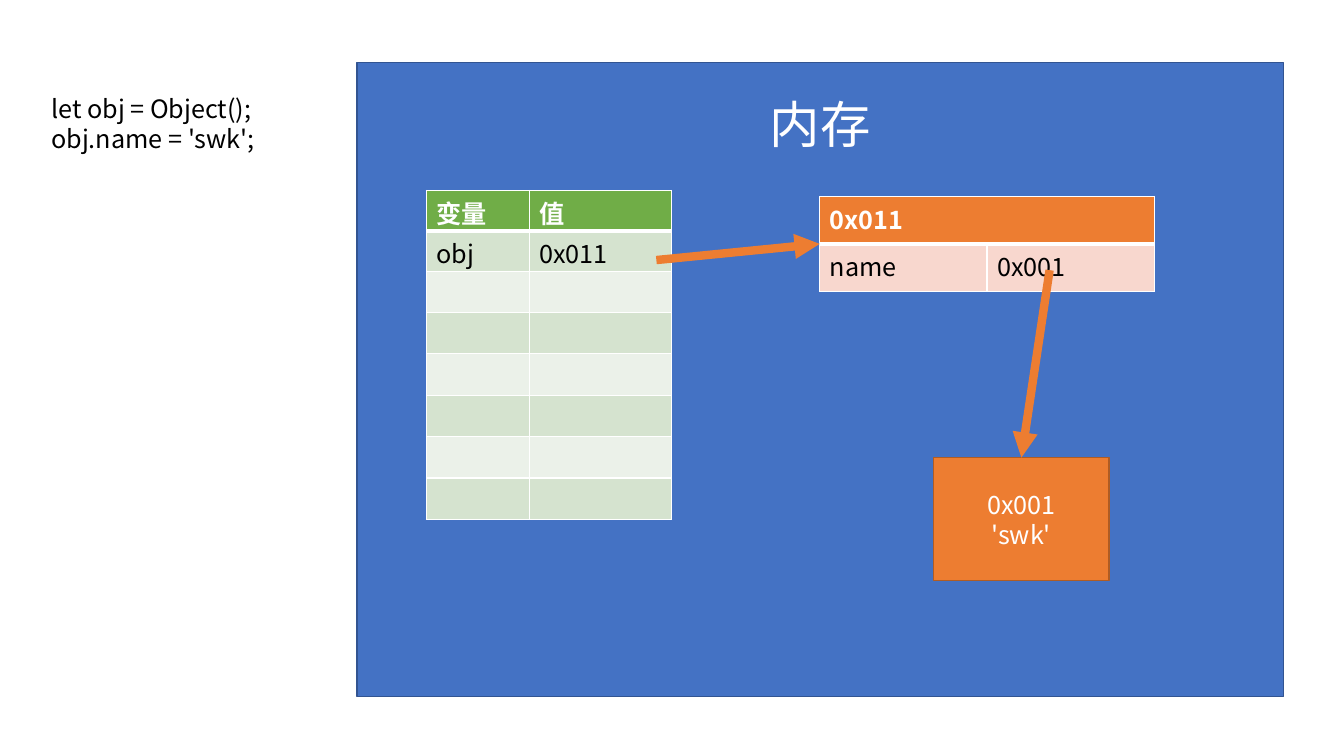
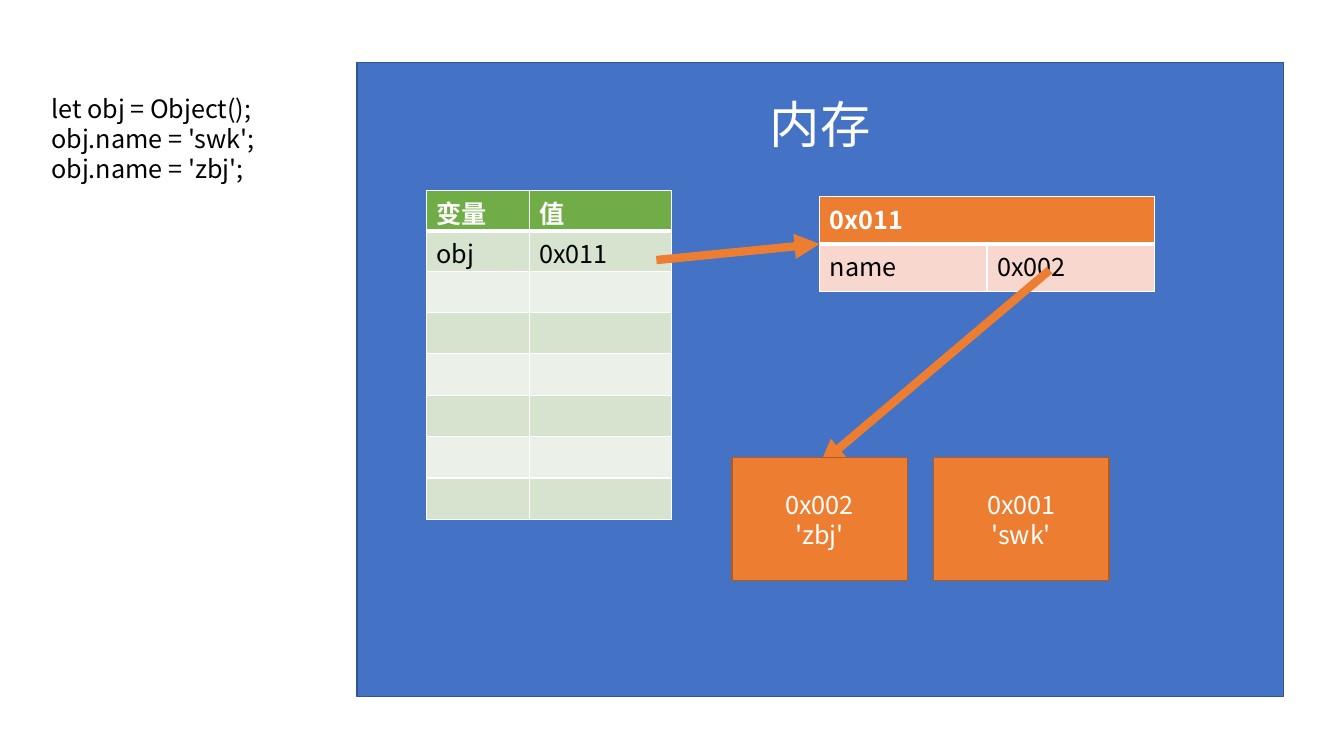
"""Build two slides that show how an object and its values sit in memory."""
from dataclasses import dataclass

from lxml import etree
from pptx import Presentation
from pptx.dml.color import RGBColor
from pptx.enum.shapes import MSO_CONNECTOR, MSO_SHAPE
from pptx.enum.text import MSO_ANCHOR, MSO_AUTO_SIZE, PP_ALIGN
from pptx.oxml.ns import qn
from pptx.util import Inches, Pt

RECT = MSO_SHAPE.RECTANGLE
STRAIGHT = MSO_CONNECTOR.STRAIGHT
TOP, MIDDLE = MSO_ANCHOR.TOP, MSO_ANCHOR.MIDDLE
LEFT, CENTER = PP_ALIGN.LEFT, PP_ALIGN.CENTER
NO_FIT = MSO_AUTO_SIZE.NONE
TITLE_ONLY = 5
SIDES = ("lnL", "lnR", "lnT", "lnB")


@dataclass(frozen=True)
class Theme:
    """Colours, fonts and type sizes of the deck."""
    font: str = "Noto Sans CJK SC"
    white: str = "FFFFFF"
    black: str = "000000"
    blue: str = "4472C4"
    navy: str = "325491"
    green: str = "70AD47"
    mint: str = "D5E3CF"
    pale: str = "EBF1E9"
    orange: str = "ED7D31"
    rust: str = "AF5C24"
    peach: str = "F8D7CE"
    title: float = 36
    body: float = 18
    title_gap: float = 43
    body_gap: float = 21.5
    cell_gap: float = 20.5
    thin: float = 1
    thick: float = 3
    arrow: float = 6


@dataclass(frozen=True)
class Area:
    """A place on the slide in inches."""
    left: float
    top: float
    width: float
    height: float

    def frame(self) -> tuple:
        """Return the four lengths."""
        return tuple(map(Inches, (self.left, self.top, self.width, self.height)))


@dataclass(frozen=True)
class Style:
    """How lines of text look."""
    color: str
    size: float
    gap: float
    align: int = LEFT
    bold: bool = False


@dataclass(frozen=True)
class Grid:
    """A table with a header and banded rows."""
    area: Area
    widths: tuple
    rows: tuple
    head: str
    bands: tuple
    merge: bool = False


@dataclass(frozen=True)
class Box:
    """A value in memory."""
    left: float
    lines: tuple


@dataclass(frozen=True)
class Scene:
    """What one slide shows."""
    code: tuple
    link: str
    target: tuple
    under: tuple
    over: tuple = ()


THEME = Theme()
PANEL = Area(3.54, 0.62, 9.19, 6.29)
TITLE = Style(THEME.white, THEME.title, THEME.title_gap, CENTER)
CODE = Style(THEME.black, THEME.body, THEME.body_gap)
VALUE = Style(THEME.white, THEME.body, THEME.body_gap, CENTER)
HEAD = Style(THEME.white, THEME.body, THEME.cell_gap, bold=True)
CELL = Style(THEME.black, THEME.body, THEME.cell_gap)

STACK = Grid(Area(4.23, 1.89, 2.43, 3.2), (1.02, 1.41),
             (("变量", "值"), ("obj", "0x011")) + (("", ""),) * 6,
             THEME.green, (THEME.mint, THEME.pale))

SWK = Box(9.26, ("0x001", "'swk'"))
ZBJ = Box(7.26, ("0x002", "'zbj'"))
LINES = ("let obj = Object();", "obj.name = 'swk';", "obj.name = 'zbj';")
SCENES = (
    Scene(LINES[:2], "0x001", (10.13, 4.54), (SWK,)),
    Scene(LINES, "0x002", (8.13, 4.61), (SWK,), (ZBJ,)),
)


def apply(item, values: dict) -> None:
    """Set each named value on an item."""
    for name, value in values.items():
        setattr(item, name, value)


def paint(shape, fill: str, line: str) -> None:
    """Fill and outline a shape."""
    shape.fill.solid()
    shape.fill.fore_color.rgb = RGBColor.from_string(fill)
    shape.line.color.rgb = RGBColor.from_string(line)
    shape.line.width = Pt(THEME.thin)


def write(frame, lines: tuple, style: Style) -> None:
    """Write one paragraph per line."""
    for i, text in enumerate(lines):
        para = frame.add_paragraph() if i else frame.paragraphs[0]
        apply(para, {"alignment": style.align, "line_spacing": Pt(style.gap)})
        if not text:
            continue
        run = para.add_run()
        run.text = text
        apply(run.font, {"name": THEME.font, "size": Pt(style.size),
                         "bold": style.bold})
        run.font.color.rgb = RGBColor.from_string(style.color)
        props = run.font._element
        etree.SubElement(props, qn("a:ea"), typeface=THEME.font)


def add_panel(slide) -> None:
    """Turn the title into the memory panel."""
    panel = slide.shapes.title
    apply(panel, dict(zip(("left", "top", "width", "height"), PANEL.frame())))
    paint(panel, THEME.blue, THEME.navy)
    apply(panel.text_frame, {"vertical_anchor": TOP, "auto_size": NO_FIT,
                             "margin_top": Inches(0.31)})
    write(panel.text_frame, ("内存",), TITLE)


def add_code(slide, lines: tuple) -> None:
    """Add the code beside the panel."""
    area = Area(0.41, 0.88, 2.74, 0.1 + 0.3 * len(lines))
    frame = slide.shapes.add_textbox(*area.frame()).text_frame
    frame.word_wrap = True
    write(frame, lines, CODE)


def edge(cell, side: str, width: float) -> None:
    """Draw one white cell border."""
    props = cell._tc.get_or_add_tcPr()
    line = etree.SubElement(props, qn(f"a:{side}"), w=str(Pt(width)))
    fill = etree.SubElement(line, qn("a:solidFill"))
    etree.SubElement(fill, qn("a:srgbClr"), val=THEME.white)


def add_grid(slide, grid: Grid) -> None:
    """Add a table with its header and bands."""
    count = len(grid.rows)
    table = slide.shapes.add_table(count, len(grid.widths),
                                   *grid.area.frame()).table
    for column, width in zip(table.columns, grid.widths):
        column.width = Inches(width)
    for r, row in enumerate(grid.rows):
        table.rows[r].height = Inches(grid.area.height / count)
        for c, text in enumerate(row):
            cell = table.cell(r, c)
            for side in SIDES:
                rule = (r, side) in ((0, "lnB"), (1, "lnT"))
                edge(cell, side, THEME.thick if rule else THEME.thin)
            color = grid.bands[(r - 1) % len(grid.bands)] if r else grid.head
            cell.fill.solid()
            cell.fill.fore_color.rgb = RGBColor.from_string(color)
            apply(cell, {"margin_top": Inches(0.11), "margin_bottom": 0})
            write(cell.text_frame, (text,), CELL if r else HEAD)
    if grid.merge:
        table.cell(0, 0).merge(table.cell(0, len(grid.widths) - 1))


def add_box(slide, box: Box) -> None:
    """Add a value box."""
    area = Area(box.left, 4.54, 1.74, 1.22)
    shape = slide.shapes.add_shape(RECT, *area.frame())
    shape.shadow.inherit = False
    paint(shape, THEME.orange, THEME.rust)
    shape.text_frame.vertical_anchor = MIDDLE
    write(shape.text_frame, box.lines, VALUE)


def add_arrow(slide, start: tuple, end: tuple) -> None:
    """Add a thick arrow between two points."""
    arrow = slide.shapes.add_connector(STRAIGHT, *map(Inches, start + end))
    arrow.line.color.rgb = RGBColor.from_string(THEME.orange)
    arrow.line.width = Pt(THEME.arrow)
    etree.SubElement(arrow.line._get_or_add_ln(), qn("a:tailEnd"),
                     type="triangle")
    etree.SubElement(arrow._element.spPr, qn("a:effectLst"))


def add_scene(deck, scene: Scene) -> None:
    """Add one slide from back to front."""
    slide = deck.slides.add_slide(deck.slide_layouts[TITLE_ONLY])
    add_panel(slide)
    add_code(slide, scene.code)
    add_grid(slide, STACK)
    add_grid(slide, Grid(Area(8.13, 1.95, 3.31, 0.94), (1.66, 1.66),
                         (("0x011", ""), ("name", scene.link)),
                         THEME.orange, (THEME.peach,), merge=True))
    add_arrow(slide, (6.51, 2.58), (8.13, 2.42))
    for box in scene.under:
        add_box(slide, box)
    add_arrow(slide, (10.41, 2.68), scene.target)
    for box in scene.over:
        add_box(slide, box)


def main() -> None:
    """Build and save the deck."""
    deck = Presentation()
    apply(deck, {"slide_width": Inches(13.33), "slide_height": Inches(7.5)})
    for scene in SCENES:
        add_scene(deck, scene)
    deck.save("out.pptx")


main()
